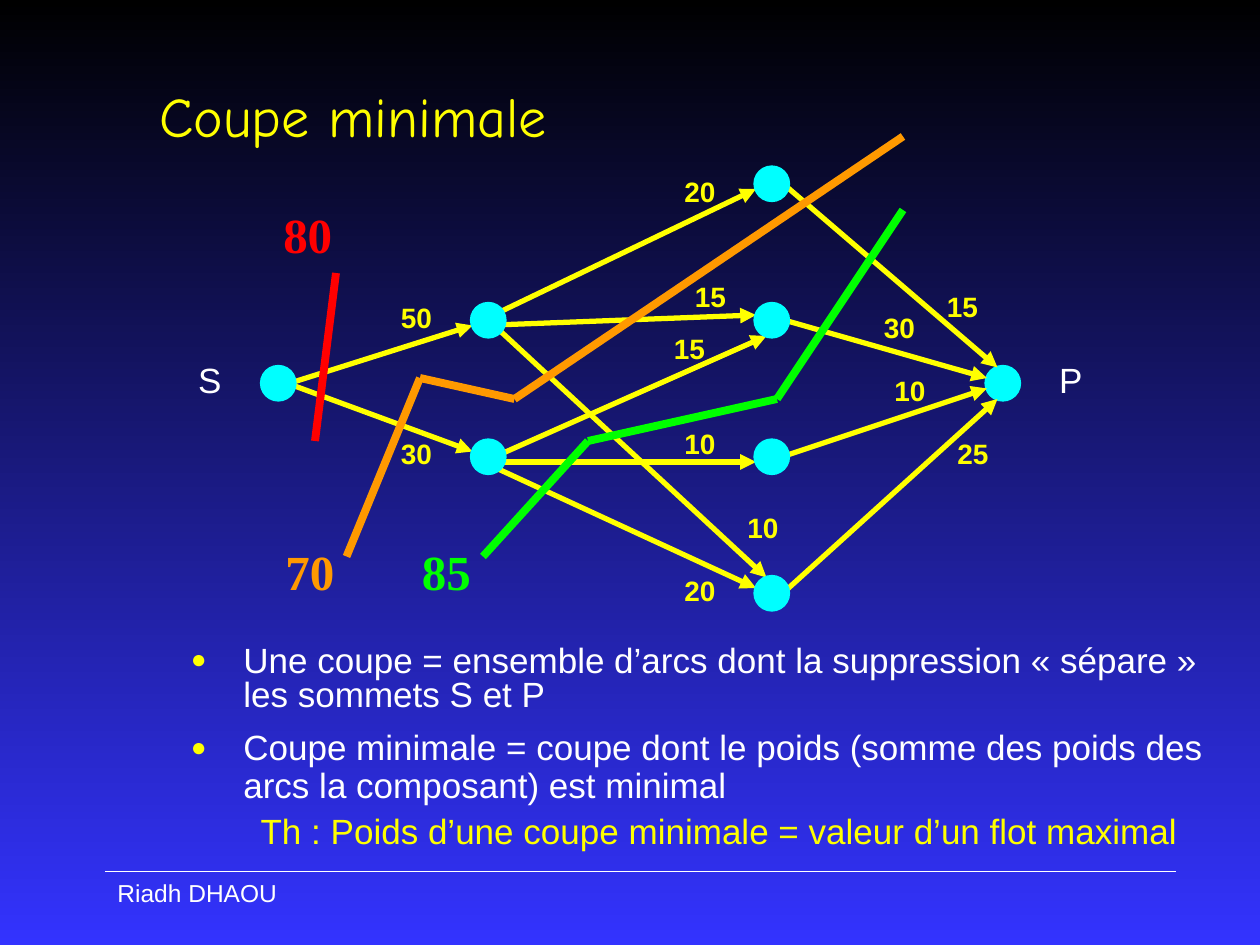
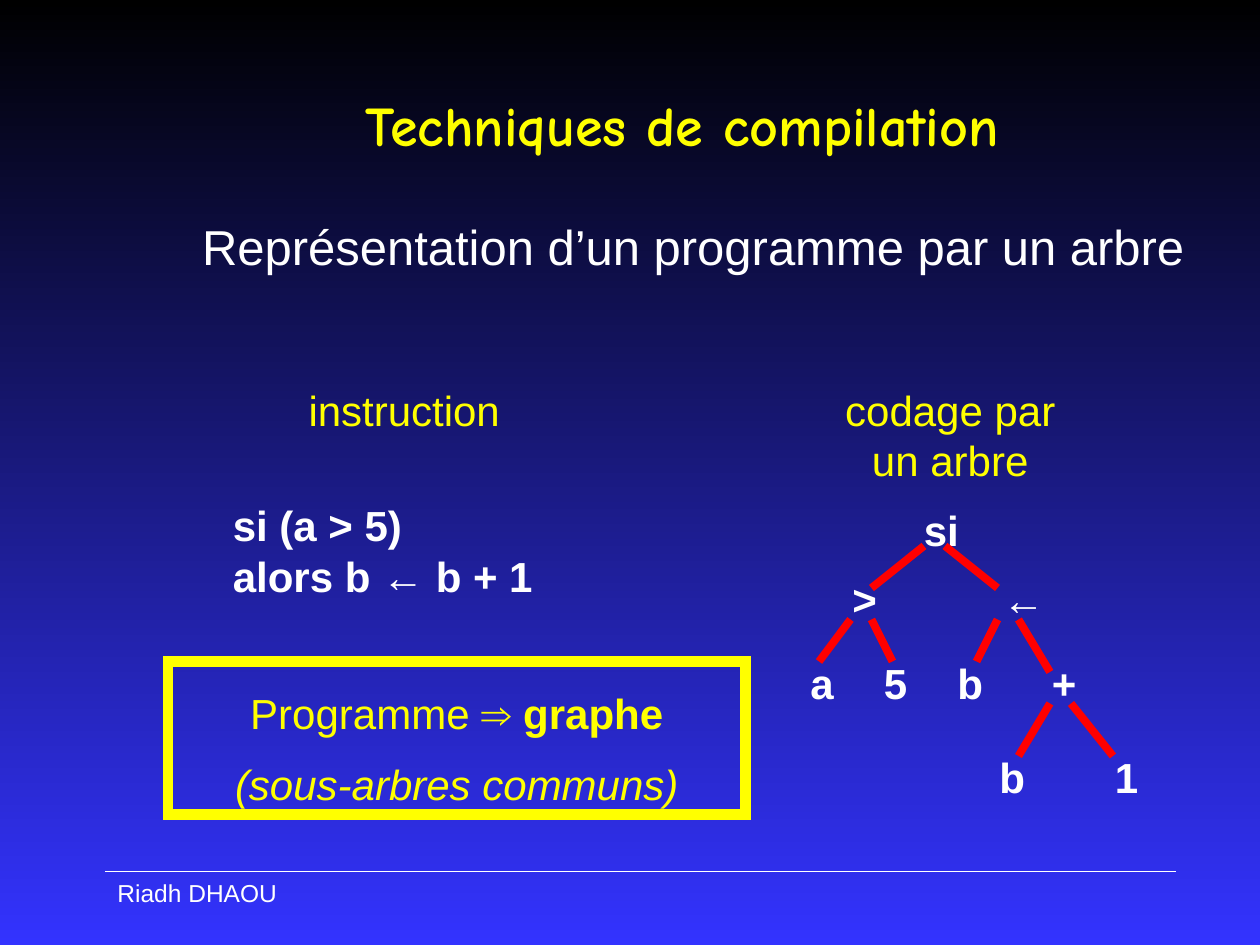
from itertools import pairwise
from lxml.etree import SubElement
from pptx import Presentation
from pptx.dml.color import RGBColor
from pptx.enum.shapes import MSO_CONNECTOR, MSO_SHAPE
from pptx.enum.text import MSO_ANCHOR, PP_ALIGN
from pptx.oxml.ns import qn
from pptx.util import Pt

SCALE = 7620
WIDE, HIGH = 1200, 900
COLORS = {
    "black": "000000", "blue": "3333FF", "white": "FFFFFF", "yellow": "FFFF00",
    "cyan": "00FFFF", "orange": "FF9900", "red": "FF0000", "green": "00FF00",
}
TITLE = {"size": 32, "color": "yellow", "face": "Comic Neue"}
AUTHOR = "Riadh DHAOU"

DOT = 30
STEP = 130
SINK = (940, 350)
NODES = [(250, 350)]
NODES += [(450, 160 + STEP * row) for row in (1, 2)]
NODES += [(720, 160 + STEP * row) for row in range(4)]
ARCS = [
    ((260, 370), (450, 310), "50", (370, 280)),
    ((260, 360), (450, 430), "30", (370, 410)),
    ((470, 300), (720, 180), "20", (640, 160)),
    ((460, 310), (720, 300), "15", (650, 260)),
    ((460, 300), (730, 550), "10", (700, 480)),
    ((460, 440), (720, 440), "10", (640, 400)),
    ((460, 440), (730, 320), "15", (630, 310)),
    ((460, 440), (720, 560), "20", (640, 540)),
    ((740, 170), (950, 350), "15", (890, 270)),
    ((730, 300), (940, 360), "30", (830, 290)),
    ((730, 440), (940, 370), "10", (840, 350)),
    ((740, 570), (950, 380), "25", (900, 410)),
]
ENDS = [("S", 170), ("P", 990)]
CUTS = [
    ("70", "orange", (260, 510), [(330, 530), (400, 360), (490, 380), (860, 130)]),
    ("80", "red", (258, 189), [(320, 260), (300, 420)]),
    ("85", "green", (390, 510), [(460, 530), (560, 420), (740, 380), (860, 200)]),
]
POINTS = [
    ("Une coupe = ensemble d’arcs dont la suppression « sépare » les sommets S et P",
     610, 80, 0.8),
    ("Coupe minimale = coupe dont le poids (somme des poids des arcs la composant) est minimal",
     690, 90, 0.9),
]
THEOREM = "Th : Poids d’une coupe minimale = valeur d’un flot maximal"

HEADS = [("instruction", 260, 60), ("codage par un arbre", 780, 108)]
CODE = ["si (a > 5)", "alors b ← b + 1"]
TREE = [
    (475, [("si", 868, 58)]),
    (540, [(">", 800, 47), ("←", 943, 56)]),
    (620, [("a", 760, 46), ("5", 830, 46), ("b", 900, 48), ("+", 990, 47)]),
    (710, [("b", 940, 48), ("1", 1050, 46)]),
]
TWIGS = [
    ((880, 520), (830, 560)), ((900, 520), (950, 560)),
    ((810, 590), (780, 630)), ((830, 590), (850, 630)),
    ((950, 590), (930, 630)), ((970, 590), (1000, 640)),
    ((1000, 670), (970, 720)), ((1020, 670), (1060, 720)),
]


def px(*nums):
    return [num * SCALE for num in nums]


def tint(name):
    return RGBColor.from_string(COLORS[name])


def write(frame, lines, size, color, face="Arial", bold=False, center=False,
          wrap=True, lead=None, bullet=False):
    frame.word_wrap = wrap
    for num, line in enumerate(lines):
        para = frame.paragraphs[0] if num == 0 else frame.add_paragraph()
        para.text = line
        if bullet:
            mark(para)
        para.alignment = PP_ALIGN.CENTER if center else PP_ALIGN.LEFT
        if lead:
            para.line_spacing = lead
        font = para.font
        font.name, font.size, font.bold = face, Pt(size), bold
        font.color.rgb = tint(color)
    return frame


def mark(para):
    props = para._p.get_or_add_pPr()
    props.set("marL", str(50 * SCALE))
    props.set("indent", str(-50 * SCALE))
    shade = SubElement(props, qn("a:buClr"))
    SubElement(shade, qn("a:srgbClr"), val=COLORS["yellow"])
    SubElement(props, qn("a:buSzPct"), val="75000")
    SubElement(props, qn("a:buFont"), typeface="Arial")
    SubElement(props, qn("a:buChar"), char="●")


def text(slide, box, lines, size, color, **style):
    frame = slide.shapes.add_textbox(*px(*box)).text_frame
    return write(frame, lines, size, color, **style)


def line(slide, start, end, color, width, arrow=False):
    link = slide.shapes.add_connector(MSO_CONNECTOR.STRAIGHT, *px(*start, *end))
    link.line.color.rgb = tint(color)
    link.line.width = Pt(width)
    if arrow:
        SubElement(link.line._get_or_add_ln(), qn("a:tailEnd"), type="triangle")
    SubElement(link._element.spPr, qn("a:effectLst"))


def shape(slide, kind, box, color, width):
    item = slide.shapes.add_shape(kind, *px(*box))
    item.shadow.inherit = False
    item.line.color.rgb = tint(color)
    item.line.width = Pt(width)
    SubElement(item.line._get_or_add_ln(), qn("a:miter"), lim="800000")
    return item


def node(slide, spot):
    item = shape(slide, MSO_SHAPE.OVAL, (*spot, DOT, DOT), "cyan", 3)
    item.fill.solid()
    item.fill.fore_color.rgb = tint("cyan")


def page(deck):
    slide = deck.slides.add_slide(deck.slide_layouts[6])
    line(slide, (100, 830), (1120, 830), "white", 1)
    text(slide, (100, 830, 230, 41), [AUTHOR], 14, "white")
    return slide


def flow(deck):
    slide = page(deck)
    title = text(slide, (140, 50, 1020, 120), ["Coupe minimale"], **TITLE)
    title.vertical_anchor = MSO_ANCHOR.MIDDLE
    node(slide, SINK)
    for start, end, _, _ in ARCS:
        line(slide, start, end, "yellow", 3, arrow=True)
    for spot in NODES:
        node(slide, spot)
    for _, _, load, spot in ARCS:
        text(slide, (*spot, 56, 44), [load], 16, "yellow", bold=True, wrap=False)
    for name, left in ENDS:
        text(slide, (left, 340, 60, 50), [name], 20, "white", center=True, lead=0.9)
    for load, color, spot, track in CUTS:
        for start, end in pairwise(track):
            line(slide, start, end, color, 4.5)
        text(slide, (*spot, 72, 68), [load], 28, color,
             face="Times New Roman", bold=True, wrap=False)
    for words, top, tall, lead in POINTS:
        text(slide, (170, top, 1030, tall), [words], 20, "white", lead=lead, bullet=True)
    text(slide, (170, 770, 1030, 50), [THEOREM], 20, "yellow", center=True, lead=0.9)


def program(deck):
    slide = page(deck)
    text(slide, (140, 80, 1020, 115), ["Techniques de compilation"],
         bold=True, center=True, **TITLE)
    text(slide, (140, 200, 1040, 68), ["Représentation d’un programme par un arbre"],
         28, "white", center=True)
    for words, left, tall in HEADS:
        text(slide, (left, 360, 250, tall), [words], 24, "yellow", center=True)
    text(slide, (210, 470, 360, 108), CODE, 24, "white", bold=True)
    for top, row in TREE:
        for sign, left, wide in row:
            text(slide, (left, top, wide, 60), [sign], 24, "white", bold=True, wrap=False)
    for start, end in TWIGS:
        line(slide, start, end, "red", 4.5)
    panel = shape(slide, MSO_SHAPE.RECTANGLE, (160, 630, 550, 146), "yellow", 6)
    panel.fill.background()
    frame = write(panel.text_frame, ["Programme ⇒ ", "(sous-arbres communs)"],
                  24, "yellow", center=True, lead=1.4)
    frame.vertical_anchor = MSO_ANCHOR.TOP
    first, last = frame.paragraphs
    strong = first.add_run()
    strong.text = "graphe"
    strong.font.bold = True
    last.font.italic = True


def main():
    deck = Presentation()
    deck.slide_width, deck.slide_height = px(WIDE, HIGH)
    fill = deck.slide_master.background.fill
    fill.gradient()
    fill.gradient_angle = 270
    for stop, name in zip(fill.gradient_stops, ("black", "blue")):
        stop.color.rgb = tint(name)
    flow(deck)
    program(deck)
    deck.save("out.pptx")


if __name__ == "__main__":
    main()
